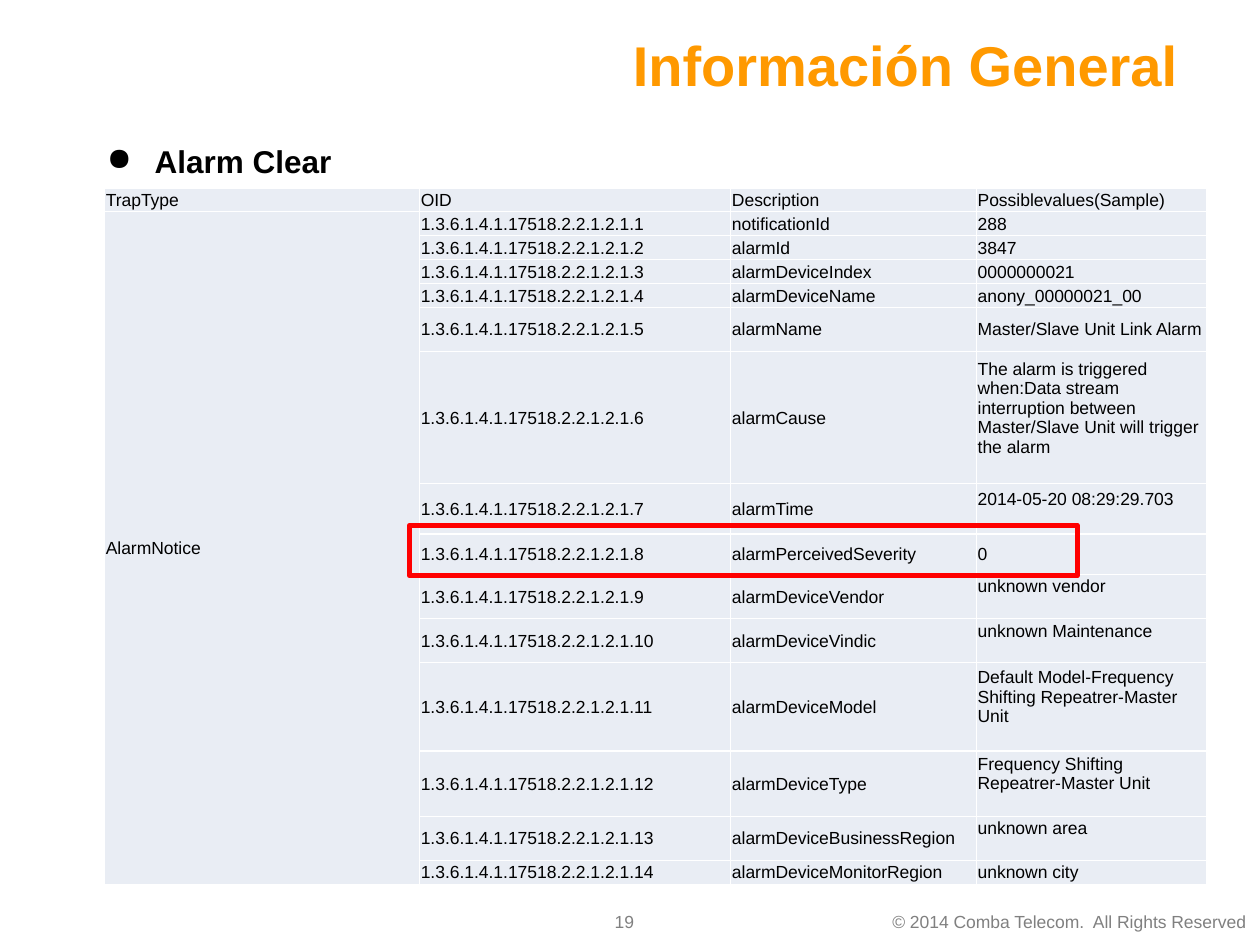
import pptx
import pptx.dml.color
import pptx.enum.shapes
import pptx.enum.text
import pptx.oxml
import pptx.oxml.ns
import pptx.util

Inches, Pt = pptx.util.Inches, pptx.util.Pt
ALIGN = pptx.enum.text.PP_ALIGN
MIDDLE = pptx.enum.text.MSO_ANCHOR.MIDDLE
NAMESPACE = pptx.oxml.ns.nsdecls("a")


def color(value):
    return pptx.dml.color.RGBColor.from_string(value)


def style(paragraph, size, value, bold=False, alignment=ALIGN.LEFT):
    paragraph.alignment = alignment
    for run in paragraph.runs:
        run.font.name = "Arial"
        run.font.size = Pt(size)
        run.font.bold = bold
        run.font.color.rgb = color(value)


presentation = pptx.Presentation()
presentation.slide_width, presentation.slide_height = Inches(10), Inches(7.5)
slide = presentation.slides.add_slide(presentation.slide_layouts[5])

# Title
title = slide.shapes.title
title.left, title.top, title.width, title.height = map(Inches, (0.53, 0.2, 8.92, 0.62))
title.text_frame.text = "Información General"
title.text_frame.vertical_anchor = MIDDLE
style(title.text_frame.paragraphs[0], 32, "FF9900", True, ALIGN.RIGHT)

# Footer: copyright and page number
footer_items = [
    ("© 2014 Comba Telecom.  All Rights Reserved", 6.97, 3.03, 0.27),
    ("19", 4.78, 0.35, 0.2),
]
for text, left, width, height in footer_items:
    footer = slide.shapes.add_textbox(Inches(left), Inches(7.18), Inches(width), Inches(height))
    frame = footer.text_frame
    frame.text = text
    frame.word_wrap = False
    frame.vertical_anchor = MIDDLE
    style(frame.paragraphs[0], 10, "808080", alignment=ALIGN.CENTER)
frame.margin_left = frame.margin_right = frame.margin_top = frame.margin_bottom = 0
frame.paragraphs[0].line_spacing = Pt(17)

# Section heading
heading = slide.shapes.add_textbox(Inches(0.75), Inches(1.08), Inches(2), Inches(0.4))
heading.text_frame.text = "Alarm Clear"
heading.text_frame.word_wrap = False
paragraph = heading.text_frame.paragraphs[0]
style(paragraph, 18, "000000", True)
properties = paragraph._p.get_or_add_pPr()
properties.set("marL", str(Inches(0.38)))
properties.set("indent", str(-Inches(0.38)))
properties.append(pptx.oxml.parse_xml(f'<a:buChar {NAMESPACE} char="●"/>'))

# Alarm fields: description, sample value, row height, spare lines under the value
alarm_fields = [
    ("notificationId", "288", 0.19, 0),
    ("alarmId", "3847", 0.19, 0),
    ("alarmDeviceIndex", "0000000021", 0.19, 0),
    ("alarmDeviceName", "anony_00000021_00", 0.19, 0),
    ("alarmName", "Master/Slave Unit Link Alarm", 0.35, 0),
    ("alarmCause", "The alarm is triggered when:Data stream interruption between "
     "Master/Slave Unit will trigger the alarm", 1.05, 1),
    ("alarmTime", "2014-05-20 08:29:29.703", 0.4, 1),
    ("alarmPerceivedSeverity", "0", 0.32, 0),
    ("alarmDeviceVendor", "unknown vendor", 0.35, 1),
    ("alarmDeviceVindic", "unknown Maintenance", 0.35, 1),
    ("alarmDeviceModel", "Default Model-Frequency Shifting Repeatrer-Master Unit", 0.7, 1),
    ("alarmDeviceType", "Frequency Shifting Repeatrer-Master Unit", 0.52, 1),
    ("alarmDeviceBusinessRegion", "unknown area", 0.35, 1),
    ("alarmDeviceMonitorRegion", "unknown city", 0.19, 0),
]
rows = [("TrapType", "OID", "Description", "Possiblevalues(Sample)", 0.19, 0)]
for number, field in enumerate(alarm_fields, 1):
    trap_type = "AlarmNotice" if number == 1 else ""
    rows.append((trap_type, f"1.3.6.1.4.1.17518.2.2.1.2.1.{number}", *field))

LINE_HEIGHT = 0.16
table = slide.shapes.add_table(
    len(rows), 4, Inches(0.83), Inches(1.49), Inches(8.75), Inches(5.54)).table
for column, width in zip(table.columns, (2.5, 2.47, 1.95, 1.83)):
    column.width = Inches(width)
for row_index, (*texts, height, spare_lines) in enumerate(rows):
    table.rows[row_index].height = Inches(height)
    for column_index, text in enumerate(texts):
        cell = table.cell(row_index, column_index)
        cell.text_frame.text = text
        cell.vertical_anchor = MIDDLE
        cell.margin_left = cell.margin_right = cell.margin_top = Inches(0.01)
        cell.margin_bottom = Inches(LINE_HEIGHT * spare_lines if column_index == 3 else 0)
        style(cell.text_frame.paragraphs[0], 10, "000000")
        cell.text_frame.paragraphs[0].font.size = Pt(10)
        for side in "LRTB":
            cell._tc.get_or_add_tcPr().append(pptx.oxml.parse_xml(
                f'<a:ln{side} {NAMESPACE} w="{Pt(1)}"><a:solidFill>'
                f'<a:srgbClr val="FFFFFF"/></a:solidFill></a:ln{side}>'))
        cell.fill.solid()
        cell.fill.fore_color.rgb = color("E9EDF4")
table.cell(1, 0).merge(table.cell(len(rows) - 1, 0))

# Frame around the severity row
highlight = slide.shapes.add_shape(
    pptx.enum.shapes.MSO_SHAPE.RECTANGLE, Inches(3.25), Inches(4.17), Inches(5.3), Inches(0.4))
highlight.shadow.inherit = False
highlight.fill.background()
highlight.line.color.rgb = color("FF0000")
highlight.line.width = Pt(3)

presentation.save("out.pptx")
